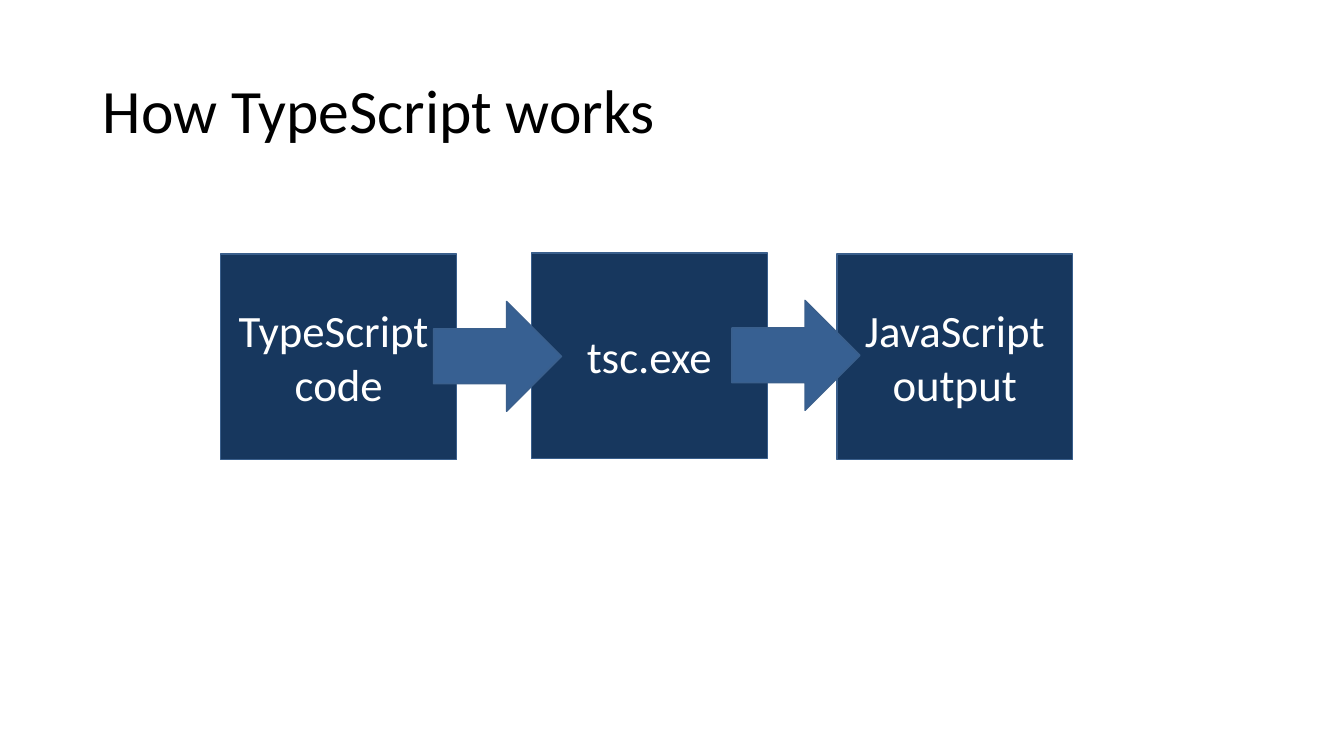
from dataclasses import dataclass

from pptx import Presentation
from pptx.dml.color import RGBColor
from pptx.enum.shapes import MSO_SHAPE
from pptx.enum.text import MSO_ANCHOR, MSO_AUTO_SIZE, PP_ALIGN
from pptx.util import Inches, Pt

RECT, ARROW = MSO_SHAPE.RECTANGLE, MSO_SHAPE.RIGHT_ARROW
MIDDLE, NO_FIT = MSO_ANCHOR.MIDDLE, MSO_AUTO_SIZE.NONE
LEFT, CENTER = PP_ALIGN.LEFT, PP_ALIGN.CENTER
TITLE_ONLY = 5


@dataclass(frozen=True)
class Theme:
    """Colours, font and type sizes of the slide."""
    font: str = "Calibri"
    ink: RGBColor = RGBColor(0x00, 0x00, 0x00)
    white: RGBColor = RGBColor(0xFF, 0xFF, 0xFF)
    navy: RGBColor = RGBColor(0x17, 0x37, 0x5E)
    blue: RGBColor = RGBColor(0x37, 0x60, 0x92)
    edge: RGBColor = RGBColor(0x3A, 0x5F, 0x8C)
    title: Pt = Pt(44)
    label: Pt = Pt(32)
    line: Pt = Pt(1)


@dataclass(frozen=True)
class Kind:
    """Preset, size in inches and fill shared by like parts."""
    preset: MSO_SHAPE
    width: float
    height: float
    fill: RGBColor


@dataclass(frozen=True)
class Part:
    """One step or arrow, placed in inches."""
    kind: Kind
    left: float
    top: float
    lines: tuple[str, ...] = ()


THEME = Theme()
STEP = Kind(RECT, 2.34, 2.04, THEME.navy)
FLOW = Kind(ARROW, 1.27, 1.09, THEME.blue)
PARTS = (
    Part(STEP, 2.19, 2.52, ("TypeScript ", "code")),
    Part(STEP, 5.27, 2.51, ("tsc.exe",)),
    Part(STEP, 8.3, 2.52, ("JavaScript", "output")),
    Part(FLOW, 4.3, 2.99),
    Part(FLOW, 7.26, 2.98),
)


def write(frame, lines: tuple[str, ...], size: Pt, color: RGBColor,
          align: PP_ALIGN, space: float = 1.0) -> None:
    """Fill a text frame with one paragraph for each line."""
    frame.word_wrap = True
    frame.auto_size = NO_FIT
    frame.vertical_anchor = MIDDLE
    for i, line in enumerate(lines):
        para = frame.add_paragraph() if i else frame.paragraphs[0]
        para.alignment = align
        para.line_spacing = space
        run = para.add_run()
        run.text = line
        run.font.name = THEME.font
        run.font.size = size
        run.font.color.rgb = color


def add_title(slide, text: str) -> None:
    """Place and format the title placeholder."""
    title = slide.shapes.title
    title.left, title.top = Inches(0.92), Inches(0.4)
    title.width, title.height = Inches(11.5), Inches(1.45)
    write(title.text_frame, (text,), THEME.title, THEME.ink, LEFT, 0.9)


def add_part(slide, part: Part) -> None:
    """Draw one step or arrow with its label."""
    kind = part.kind
    shape = slide.shapes.add_shape(
        kind.preset, Inches(part.left), Inches(part.top),
        Inches(kind.width), Inches(kind.height))
    shape.shadow.inherit = False
    shape.fill.solid()
    shape.fill.fore_color.rgb = kind.fill
    shape.line.color.rgb = THEME.edge
    shape.line.width = THEME.line
    write(shape.text_frame, part.lines, THEME.label, THEME.white, CENTER)


def main() -> None:
    """Build and save the slide."""
    deck = Presentation()
    deck.slide_width, deck.slide_height = Inches(13.33), Inches(7.5)
    slide = deck.slides.add_slide(deck.slide_layouts[TITLE_ONLY])
    add_title(slide, "How TypeScript works")
    for part in PARTS:
        add_part(slide, part)
    deck.save("out.pptx")


main()
